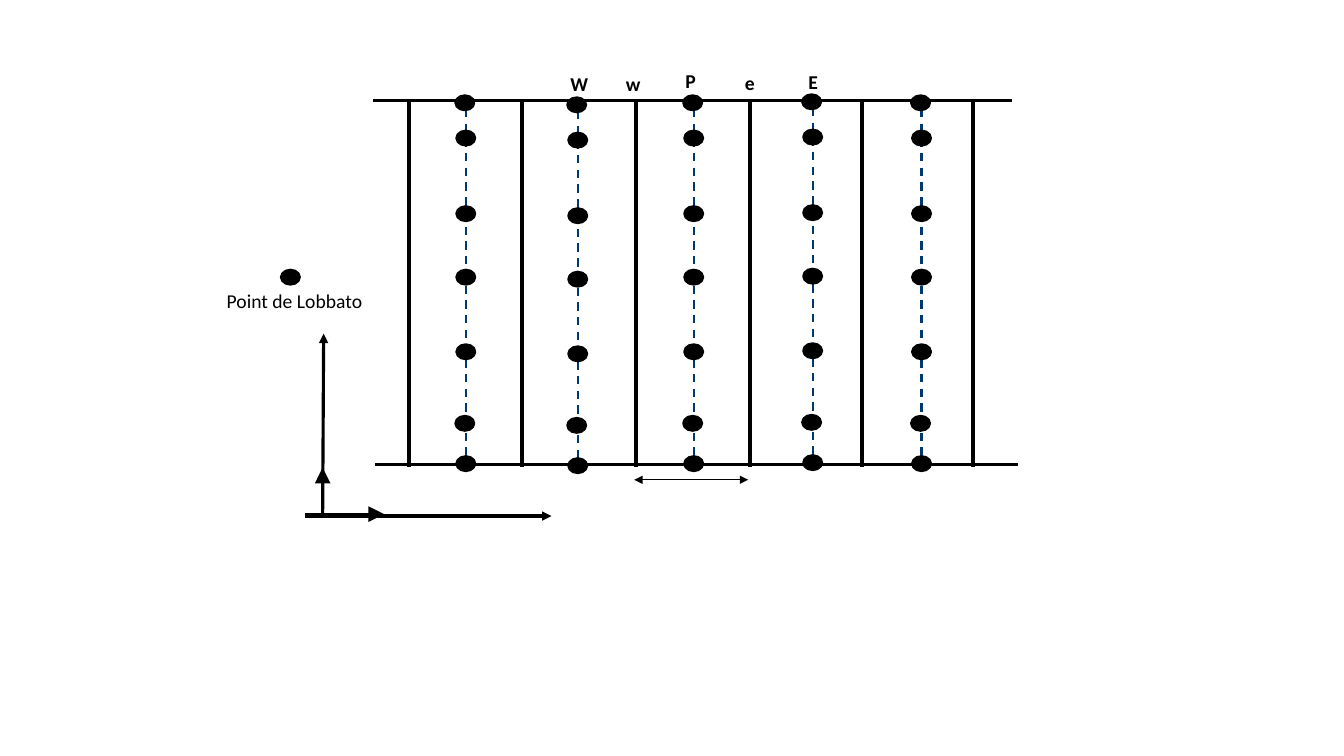
from lxml import etree
from pptx import Presentation
from pptx.dml.color import RGBColor
from pptx.enum.dml import MSO_LINE
from pptx.enum.shapes import MSO_CONNECTOR, MSO_SHAPE
from pptx.enum.text import MSO_AUTO_SIZE
from pptx.oxml.ns import qn
from pptx.util import Inches, Pt

STRAIGHT = MSO_CONNECTOR.STRAIGHT
OVAL = MSO_SHAPE.OVAL
DASH = MSO_LINE.DASH
FIT_SHAPE = MSO_AUTO_SIZE.SHAPE_TO_FIT_TEXT

BLACK = "000000"
NAVY = "003870"

WALL_TOP, WALL_BOTTOM = 0.99, 4.63
WALLS = [4.06, 5.18, 6.31, 7.44, 8.55, 9.65]
# Axis of each column of points and its small vertical shift
COLUMNS = [(4.62, 0), (5.73, 0.02), (6.88, 0), (8.06, -0.01), (9.14, 0)]
# Top of each point and its small horizontal shift
POINTS = [(0.95, -0.01), (1.3, 0), (2.05, 0), (2.68, 0),
          (3.42, 0), (4.13, -0.01), (4.53, 0)]
POINT_WIDTH, POINT_HEIGHT = 0.18, 0.14
LABELS = [
    ("W", 5.56, 0.66, 0.38),
    ("w", 6.11, 0.66, 0.35),
    ("P", 6.7, 0.63, 0.31),
    ("e", 7.29, 0.65, 0.3),
    ("E", 7.92, 0.64, 0.3),
]


def color(value):
    return RGBColor.from_string(value)


class Diagram:
    font = "Calibri"
    text_size = 14

    def __init__(self, slide):
        self.shapes = slide.shapes

    def line(self, start, end, width, hex_color=BLACK, dash=None,
             head=False, tail=False, arrow_size="med"):
        """Draw a line; head and tail put arrowheads at its start and end."""
        connector = self.shapes.add_connector(
            STRAIGHT, *map(Inches, (*start, *end)))
        connector.line.color.rgb = color(hex_color)
        connector.line.width = Pt(width)
        if dash is not None:
            connector.line.dash_style = dash
        properties = connector._element.spPr
        outline = properties.find(qn("a:ln"))
        for wanted, tag in ((head, "a:headEnd"), (tail, "a:tailEnd")):
            if wanted:
                etree.SubElement(outline, qn(tag), type="triangle",
                                 w=arrow_size, len=arrow_size)
        etree.SubElement(properties, qn("a:effectLst"))

    def point(self, left, top):
        dot = self.shapes.add_shape(
            OVAL, *map(Inches, (left, top, POINT_WIDTH, POINT_HEIGHT)))
        dot.shadow.inherit = False
        dot.fill.solid()
        dot.fill.fore_color.rgb = color(BLACK)
        dot.line.color.rgb = color(BLACK)
        dot.line.width = Pt(2)

    def label(self, text, left, top, width, bold=True):
        box = self.shapes.add_textbox(
            *map(Inches, (left, top, width, 0.34)))
        frame = box.text_frame
        frame.text = text
        frame.word_wrap = False
        frame.auto_size = FIT_SHAPE
        font = frame.paragraphs[0].runs[0].font
        font.name = self.font
        font.size = Pt(self.text_size)
        font.bold = bold
        font.color.rgb = color(BLACK)

    def column(self, axis, shift):
        """Draw a dashed axis with its points."""
        self.line((axis, 1.08 + shift), (axis, 4.56 + shift), 1.5, NAVY, DASH)
        for top, offset in POINTS:
            self.point(axis - POINT_WIDTH / 2 + offset, top + shift)


def main():
    deck = Presentation()
    deck.slide_width = Inches(13.33)
    deck.slide_height = Inches(7.5)
    diagram = Diagram(deck.slides.add_slide(deck.slide_layouts[6]))

    for label in LABELS:
        diagram.label(*label)

    diagram.line((6.29, 4.76), (7.42, 4.76), 0.5, head=True, tail=True)
    diagram.line((3.7, 1), (10.04, 1), 2.25)
    diagram.line((3.72, 4.61), (10.1, 4.61), 2.25)
    for wall in WALLS:
        diagram.line((wall, WALL_TOP), (wall, WALL_BOTTOM), 3)
    for axis, shift in COLUMNS:
        diagram.column(axis, shift)

    # Coordinate axes and their unit vectors
    diagram.line((3.03, 5.12), (5.47, 5.12), 2.25, tail=True)
    diagram.line((3.2, 5.12), (3.21, 3.31), 2.25, tail=True)
    diagram.line((3.2, 4.93), (3.2, 4.64), 2.25, tail=True, arrow_size="lg")
    diagram.line((3.03, 5.1), (3.81, 5.1), 2.25, tail=True, arrow_size="lg")

    # Legend
    diagram.label("Point de Lobbato", 2.15, 2.82, 1.59, bold=False)
    diagram.point(2.79, 2.68)

    deck.save("out.pptx")


if __name__ == "__main__":
    main()
